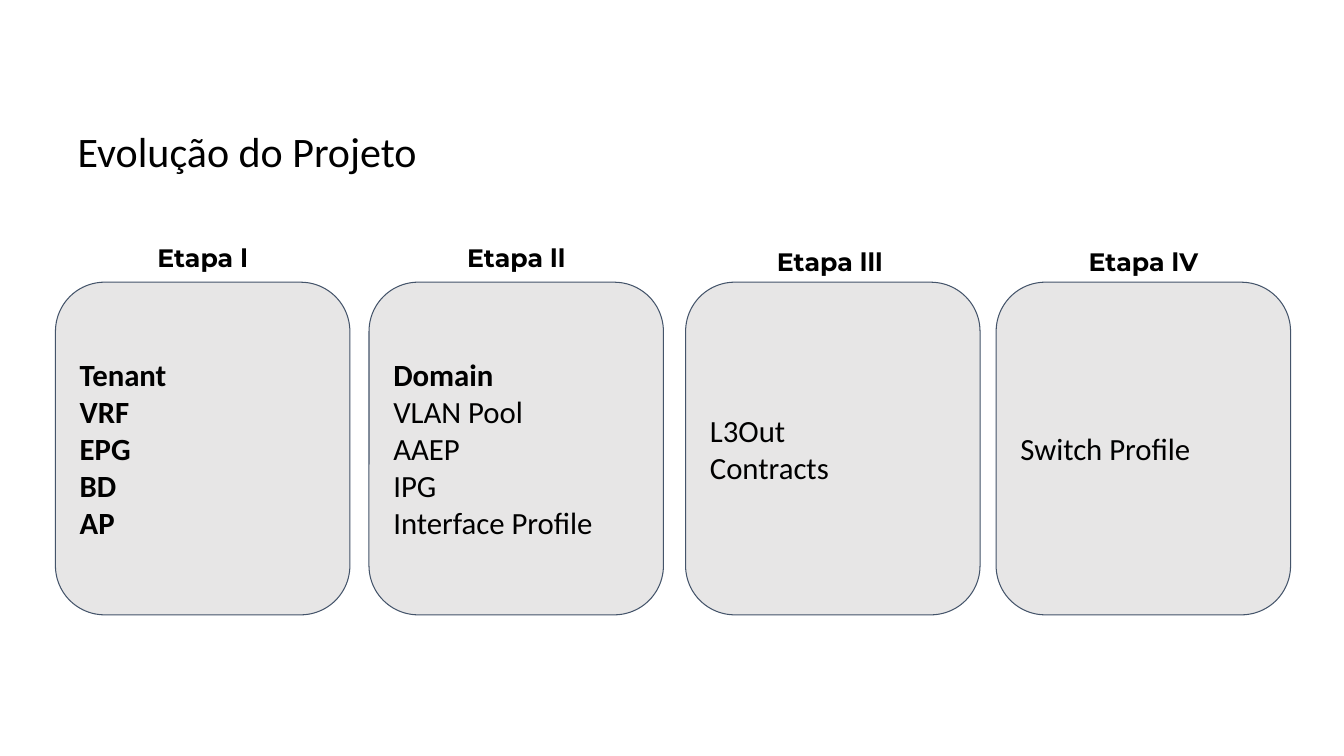
from pptx import Presentation
from pptx.dml.color import RGBColor
from pptx.enum.shapes import MSO_SHAPE
from pptx.enum.text import MSO_ANCHOR, MSO_AUTO_SIZE, PP_ALIGN
from pptx.util import Inches, Pt

BLACK = RGBColor(0x00, 0x00, 0x00)
CARD_GRAY = RGBColor(0xE7, 0xE6, 0xE6)
OUTLINE_BLUE = RGBColor(0x44, 0x54, 0x6A)

TITLE_FONT = {"name": "Calibri", "size": Pt(30), "bold": False}
LABEL_FONT = {"name": "Montserrat", "size": Pt(18), "bold": True}
ITEM_FONT = {"name": "Calibri", "size": Pt(22), "bold": False}

CARD_TOP, CARD_WIDTH, CARD_HEIGHT = 2.8, 2.92, 3.3
LABEL_LEFT, LABEL_PITCH, LABEL_WIDTH, LABEL_HEIGHT = 1.3, 3.11, 1.42, 0.5

STAGES = [
    ("Etapa l", 0.55, 2.3, ["Tenant", "VRF", "EPG", "BD", "AP"], 5),
    ("Etapa ll", 3.66, 2.3,
     ["Domain", "VLAN Pool", "AAEP", "IPG", "Interface Profile"], 1),
    ("Etapa lll", 6.8, 2.34, ["L3Out", "Contracts"], 0),
    ("Etapa lV", 9.88, 2.34, ["Switch Profile"], 0),
]


def apply_format(target, values):
    for attribute, value in values.items():
        setattr(target, attribute, value)


def write_lines(frame, lines, font, align, bold_count=0):
    for index, line in enumerate(lines):
        paragraph = frame.paragraphs[0] if index == 0 else frame.add_paragraph()
        paragraph.alignment = align
        run = paragraph.add_run()
        run.text = line
        apply_format(run.font, font)
        run.font.color.rgb = BLACK
        if index < bold_count:
            run.font.bold = True


def set_frame(frame, anchor, vertical_inset):
    apply_format(frame, {
        "word_wrap": True,
        "auto_size": MSO_AUTO_SIZE.NONE,
        "vertical_anchor": anchor,
        "margin_left": Inches(0.1),
        "margin_right": Inches(0.1),
        "margin_top": Inches(vertical_inset),
        "margin_bottom": Inches(vertical_inset),
    })


def place_title(slide, left, top, width, height):
    title = slide.shapes.title
    apply_format(title, {"left": Inches(left), "top": Inches(top),
                         "width": Inches(width), "height": Inches(height)})
    set_frame(title.text_frame, MSO_ANCHOR.BOTTOM, 0.05)
    write_lines(title.text_frame, ["Evolução do Projeto"], TITLE_FONT, PP_ALIGN.LEFT)
    title.text_frame.paragraphs[0].line_spacing = 0.9


def add_stage_label(slide, name, left, top, width, height):
    label = slide.shapes.add_textbox(
        Inches(left), Inches(top), Inches(width), Inches(height))
    set_frame(label.text_frame, MSO_ANCHOR.TOP, 0.1)
    write_lines(label.text_frame, [name], LABEL_FONT, PP_ALIGN.CENTER)


def add_stage_card(slide, items, bold_count, left, top, width, height):
    card = slide.shapes.add_shape(
        MSO_SHAPE.ROUNDED_RECTANGLE,
        Inches(left), Inches(top), Inches(width), Inches(height))
    card.shadow.inherit = False
    card.adjustments[0] = 0.167
    card.fill.solid()
    card.fill.fore_color.rgb = CARD_GRAY
    card.line.color.rgb = OUTLINE_BLUE
    card.line.width = Pt(0.75)
    set_frame(card.text_frame, MSO_ANCHOR.MIDDLE, 0.1)
    write_lines(card.text_frame, items, ITEM_FONT, PP_ALIGN.LEFT, bold_count)


def main():
    presentation = Presentation()
    presentation.slide_width = Inches(13.33)
    presentation.slide_height = Inches(7.5)
    slide = presentation.slides.add_slide(presentation.slide_layouts[5])
    place_title(slide, 0.67, 1.22, 10.7, 0.58)
    for index, (name, card_left, label_top, items, bold_count) in enumerate(STAGES):
        add_stage_label(slide, name, LABEL_LEFT + index * LABEL_PITCH, label_top,
                        LABEL_WIDTH, LABEL_HEIGHT)
        add_stage_card(slide, items, bold_count, card_left, CARD_TOP,
                       CARD_WIDTH, CARD_HEIGHT)
    presentation.save("out.pptx")


if __name__ == "__main__":
    main()
